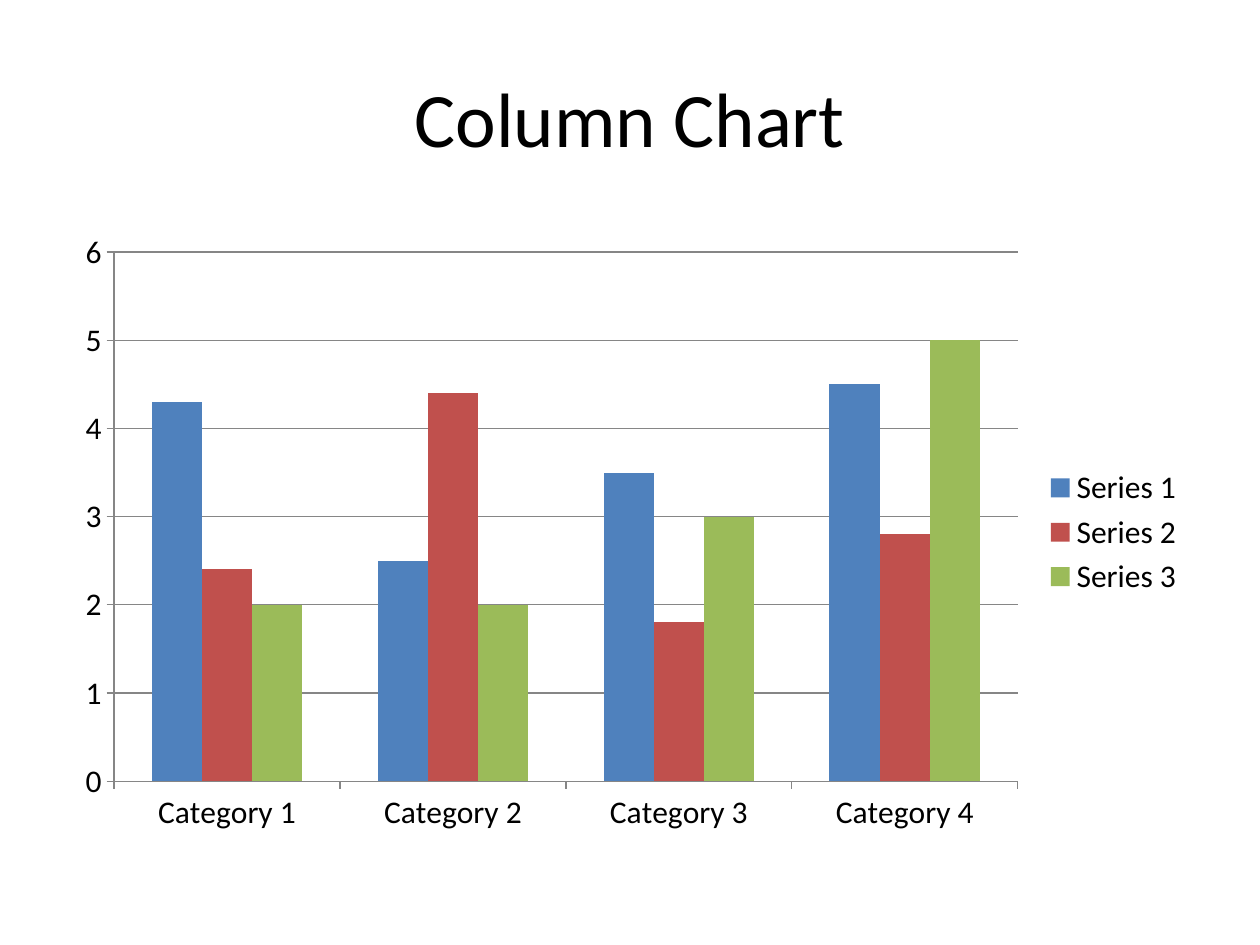
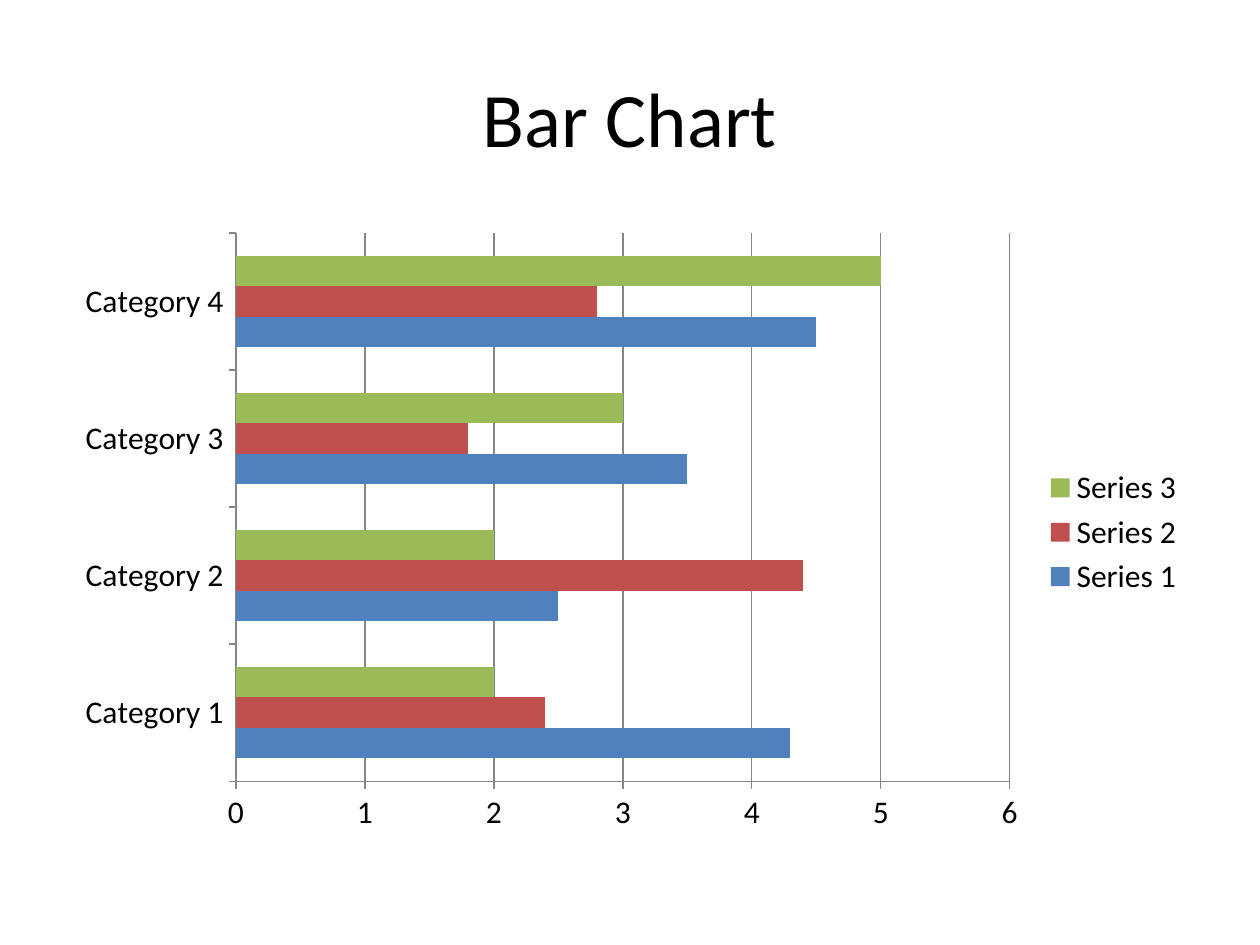
from pptx import Presentation
from pptx.chart.data import CategoryChartData
from pptx.dml.color import RGBColor
from pptx.enum.chart import XL_CHART_TYPE as ChartType
from pptx.enum.chart import XL_LEGEND_POSITION as LegendPosition
from pptx.enum.chart import XL_TICK_MARK as TickMark
from pptx.enum.text import MSO_ANCHOR, PP_ALIGN
from pptx.util import Pt

COLORS = {
    "background": "FFFFFF",
    "text": "000000",
    "axis": "868686",
    "Series 1": "4F81BD",
    "Series 2": "C0504D",
    "Series 3": "9BBB59",
}
CATEGORIES = [f"Category {number}" for number in range(1, 5)]
SERIES = {
    "Series 1": (4.3, 2.5, 3.5, 4.5),
    "Series 2": (2.4, 4.4, 1.8, 2.8),
    "Series 3": (2, 2, 3, 5),
}
SLIDES = [
    ("Column Chart", ChartType.COLUMN_CLUSTERED),
    ("Bar Chart", ChartType.BAR_CLUSTERED),
]


class Deck:
    """Holds the shared style and the current slide."""

    font_name = "Calibri"
    title_size = Pt(44)
    chart_size = Pt(18)
    margin = Pt(36)
    content_width = Pt(648)
    title_only_layout = 5

    def __init__(self):
        """Start a presentation of 10 by 7.5 inches."""
        self.presentation = Presentation()
        self.presentation.slide_width = Pt(720)
        self.presentation.slide_height = Pt(540)
        self.slide = None

    def color(self, name):
        """Return a named colour."""
        return RGBColor.from_string(COLORS[name])

    def style_font(self, font, size):
        """Apply the deck's typeface and text colour at a given size."""
        font.name = self.font_name
        font.size = size
        font.color.rgb = self.color("text")

    def add_slide(self, title):
        """Add a slide with a centred title."""
        layout = self.presentation.slide_layouts[self.title_only_layout]
        self.slide = self.presentation.slides.add_slide(layout)
        background = self.slide.background.fill
        background.solid()
        background.fore_color.rgb = self.color("background")

        shape = self.slide.shapes.title
        shape.left, shape.top = self.margin, Pt(21.6)
        shape.width, shape.height = self.content_width, Pt(90)
        text_frame = shape.text_frame
        text_frame.text = title
        text_frame.vertical_anchor = MSO_ANCHOR.MIDDLE
        paragraph = text_frame.paragraphs[0]
        paragraph.alignment = PP_ALIGN.CENTER
        self.style_font(paragraph.runs[0].font, self.title_size)

    def style_line(self, line):
        """Draw an axis line or gridline in thin grey."""
        line.color.rgb = self.color("axis")
        line.width = Pt(0.75)

    def add_chart(self, chart_type):
        """Add a clustered chart of the shared data with a legend."""
        data = CategoryChartData()
        data.categories = CATEGORIES
        for name, values in SERIES.items():
            data.add_series(name, values)
        chart = self.slide.shapes.add_chart(
            chart_type, self.margin, Pt(126), self.content_width, Pt(356.4), data
        ).chart
        self.style_font(chart.font, self.chart_size)
        chart.has_title = False
        chart.has_legend = True
        chart.legend.position = LegendPosition.RIGHT
        chart.legend.include_in_layout = False

        for axis in (chart.category_axis, chart.value_axis):
            axis.major_tick_mark = TickMark.OUTSIDE
            axis.minor_tick_mark = TickMark.NONE
            self.style_line(axis.format.line)
        chart.category_axis.has_major_gridlines = False
        chart.value_axis.has_major_gridlines = True
        self.style_line(chart.value_axis.major_gridlines.format.line)

        plot = chart.plots[0]
        plot.gap_width = 150
        plot.overlap = 0
        plot.vary_by_categories = False
        for series in plot.series:
            series.format.fill.solid()
            series.format.fill.fore_color.rgb = self.color(series.name)


def main():
    """Build one slide for each chart type and save the deck."""
    deck = Deck()
    for title, chart_type in SLIDES:
        deck.add_slide(title)
        deck.add_chart(chart_type)
    deck.presentation.save("out.pptx")


main()
